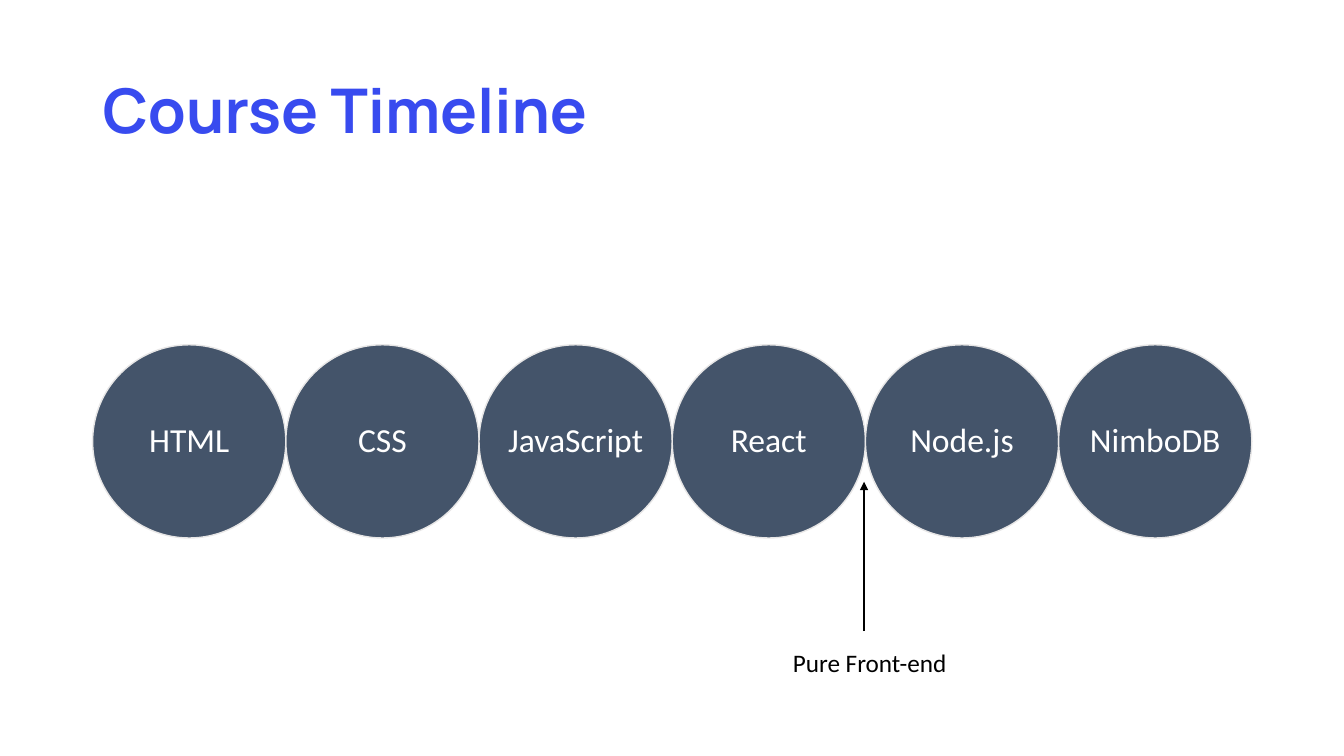
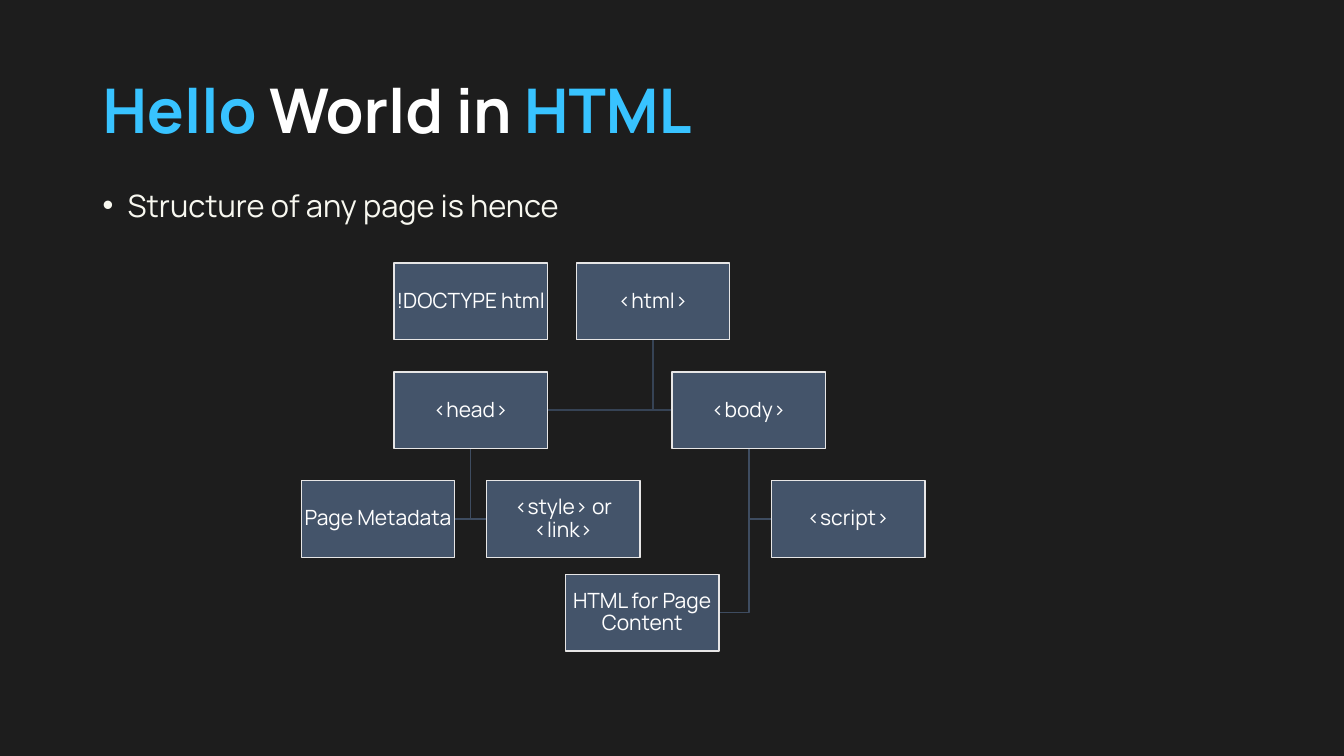
from lxml.etree import SubElement
from pptx import Presentation
from pptx.dml.color import RGBColor
from pptx.enum.shapes import MSO_CONNECTOR, MSO_SHAPE
from pptx.enum.text import MSO_ANCHOR, PP_ALIGN
from pptx.oxml.ns import qn
from pptx.util import Pt

WHITE = RGBColor(0xFF, 0xFF, 0xFF)
BLACK = RGBColor(0x00, 0x00, 0x00)
CHARCOAL = RGBColor(0x1D, 0x1D, 0x1D)
BLUE = RGBColor(0x38, 0x4B, 0xEF)
SKY = RGBColor(0x38, 0xC3, 0xFF)
CREAM = RGBColor(0xF8, 0xF8, 0xF0)
SLATE = RGBColor(0x44, 0x54, 0x6A)
PALE_GREY = RGBColor(0xE7, 0xE6, 0xE6)
UPPER_LINK = RGBColor(0x36, 0x43, 0x55)
LOWER_LINK = RGBColor(0x3E, 0x4C, 0x60)

HEADING_FONT = "Manrope"
LABEL_FONT = "Calibri"

LEFT, CONTENT_WIDTH = 66.2, 828
TITLE_BOX = (LEFT, 28.8, CONTENT_WIDTH, 104.4)
BODY_BOX = (LEFT, 116.6, CONTENT_WIDTH, 394.6)

COURSES = ["HTML", "CSS", "JavaScript", "React", "Node.js", "NimboDB"]
FRONT_END_COURSES = 4

NODE_WIDTH, NODE_HEIGHT = 109.6, 54.8
ROWS = (0, 77.8, 155.6, 222.5)
# Label: left offset and row in the tree
NODES = {
    "!DOCTYPE html": (66.2, 0),
    "<html>": (196.4, 0),
    "<head>": (66.2, 1),
    "<body>": (264.8, 1),
    "Page Metadata": (0, 2),
    "<style> or <link>": (132.4, 2),
    "<script>": (335.8, 2),
    "HTML for Page Content": (188.6, 3),
}
CHILDREN = {
    "<html>": ["<head>", "<body>"],
    "<head>": ["Page Metadata", "<style> or <link>"],
    "<body>": ["<script>", "HTML for Page Content"],
}


def style_font(font, name, size, color, bold=False):
    font.name = name
    font.size = Pt(size)
    font.bold = bold
    font.color.rgb = color


def add_text_box(slide, box, anchor=MSO_ANCHOR.TOP):
    """Add a wrapping text box and return its first paragraph."""
    frame = slide.shapes.add_textbox(*map(Pt, box)).text_frame
    frame.word_wrap = True
    frame.vertical_anchor = anchor
    return frame.paragraphs[0]


def add_slide(presentation, background, title_runs):
    """Add a slide whose title is made of (text, colour) runs."""
    slide = presentation.slides.add_slide(presentation.slide_layouts[6])
    slide.background.fill.solid()
    slide.background.fill.fore_color.rgb = background
    paragraph = add_text_box(slide, TITLE_BOX, MSO_ANCHOR.MIDDLE)
    paragraph.line_spacing = 0.9
    for text, color in title_runs:
        run = paragraph.add_run()
        run.text = text
        style_font(run.font, HEADING_FONT, 44, color, bold=True)
    return slide


def add_node(slide, preset, box, label, font_name, size, inset):
    shape = slide.shapes.add_shape(preset, *map(Pt, box))
    shape.shadow.inherit = False
    shape.fill.solid()
    shape.fill.fore_color.rgb = SLATE
    shape.line.color.rgb = PALE_GREY
    shape.line.width = Pt(1)
    frame = shape.text_frame
    frame.word_wrap = True
    frame.vertical_anchor = MSO_ANCHOR.MIDDLE
    frame.margin_left = frame.margin_right = Pt(inset)
    frame.margin_top = frame.margin_bottom = Pt(inset)
    paragraph = frame.paragraphs[0]
    paragraph.text = label
    paragraph.alignment = PP_ALIGN.CENTER
    paragraph.line_spacing = 0.9
    style_font(paragraph.font, font_name, size, WHITE)


def add_timeline(slide, left, top, width):
    """Add touching circles and a marker after the front-end courses."""
    diameter = width / len(COURSES)
    for index, course in enumerate(COURSES):
        box = (left + index * diameter, top, diameter, diameter)
        add_node(slide, MSO_SHAPE.OVAL, box, course, LABEL_FONT, 24, 0)

    marker = left + FRONT_END_COURSES * diameter - 1
    arrow = slide.shapes.add_connector(
        MSO_CONNECTOR.STRAIGHT,
        Pt(marker), Pt(top + 204.5), Pt(marker), Pt(top + 97.8))
    arrow.line.color.rgb = BLACK
    arrow.line.width = Pt(1.5)
    SubElement(arrow.line._get_or_add_ln(), qn("a:tailEnd"), type="triangle")
    SubElement(arrow._element.spPr, qn("a:effectLst"))

    caption_width = 136
    caption = add_text_box(
        slide, (marker + 4 - caption_width / 2, top + 212.8, caption_width, 29))
    caption.text = "Pure Front-end"
    caption.alignment = PP_ALIGN.CENTER
    style_font(caption.font, LABEL_FONT, 18, BLACK)


def add_bullet(slide, box, text):
    paragraph = add_text_box(slide, box)
    paragraph.text = text
    paragraph.line_spacing = 1.5
    properties = paragraph._p.get_or_add_pPr()
    properties.set("marL", str(Pt(18)))
    properties.set("indent", str(Pt(-18)))
    SubElement(properties, qn("a:buFont"), typeface="Arial")
    SubElement(properties, qn("a:buChar"), char="•")
    style_font(paragraph.font, HEADING_FONT, 22, CREAM)


def add_elbow(slide, parent, child, color):
    """Link the parent's bottom centre to the child's nearest side."""
    start_x = parent[0] + NODE_WIDTH / 2
    start_y = parent[1] + NODE_HEIGHT
    end_x = child[0] if child[0] > start_x else child[0] + NODE_WIDTH
    end_y = child[1] + NODE_HEIGHT / 2
    builder = slide.shapes.build_freeform(Pt(start_x), Pt(start_y))
    builder.add_line_segments(
        [(Pt(start_x), Pt(end_y)), (Pt(end_x), Pt(end_y))], close=False)
    elbow = builder.convert_to_shape()
    elbow.shadow.inherit = False
    elbow.fill.background()
    elbow.line.color.rgb = color
    elbow.line.width = Pt(1)


def add_page_tree(slide, left, top):
    corners = {label: (left + offset, top + ROWS[row])
               for label, (offset, row) in NODES.items()}
    for parent, children in CHILDREN.items():
        color = UPPER_LINK if NODES[parent][1] == 0 else LOWER_LINK
        for child in children:
            add_elbow(slide, corners[parent], corners[child], color)
    for label, corner in corners.items():
        box = (*corner, NODE_WIDTH, NODE_HEIGHT)
        add_node(slide, MSO_SHAPE.RECTANGLE, box, label, HEADING_FONT, 15, 0.75)


def build_timeline_slide(presentation):
    slide = add_slide(presentation, WHITE, [("Course Timeline", BLUE)])
    add_timeline(slide, LEFT, 246.3, CONTENT_WIDTH)


def build_structure_slide(presentation):
    title = [("Hello ", SKY), ("World in ", WHITE), ("HTML", SKY)]
    slide = add_slide(presentation, CHARCOAL, title)
    add_bullet(slide, BODY_BOX, "Structure of any page is hence")
    add_page_tree(slide, 215.3, 187.8)


def main():
    presentation = Presentation()
    presentation.slide_width = Pt(960)
    presentation.slide_height = Pt(540)
    build_timeline_slide(presentation)
    build_structure_slide(presentation)
    presentation.save("out.pptx")


if __name__ == "__main__":
    main()
